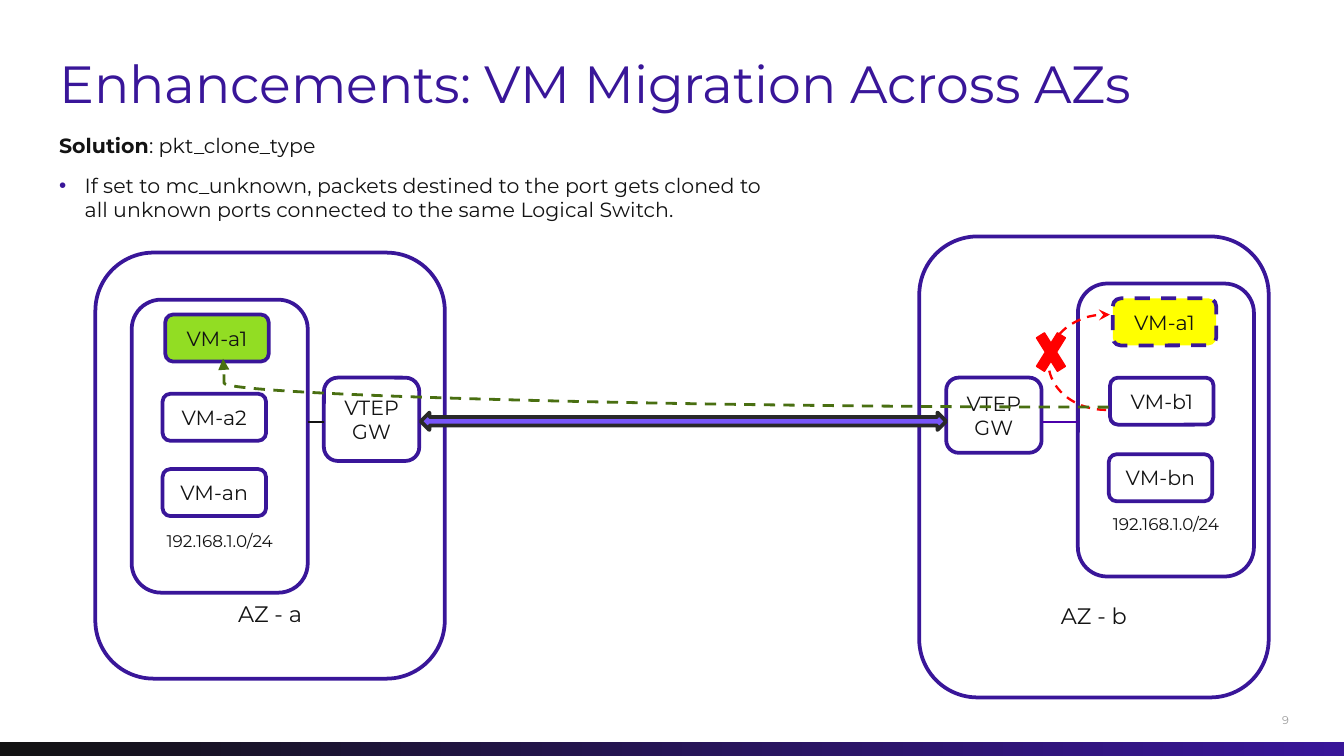
"""Build the slide on VM migration across availability zones."""
from lxml.etree import SubElement
from pptx import Presentation
from pptx.dml.color import RGBColor
from pptx.enum.dml import MSO_LINE
from pptx.enum.shapes import MSO_CONNECTOR, MSO_SHAPE
from pptx.enum.text import MSO_ANCHOR, PP_ALIGN
from pptx.oxml.ns import qn
from pptx.util import Inches, Pt

INK = RGBColor(0x13, 0x13, 0x13)
INDIGO = RGBColor(0x39, 0x16, 0x99)
VIOLET = RGBColor(0x78, 0x55, 0xFA)
PURPLE = RGBColor(0x4B, 0x00, 0xAA)
CHARCOAL = RGBColor(0x29, 0x29, 0x29)
GRAY = RGBColor(0x9C, 0x9C, 0x9C)
WHITE = RGBColor(0xFF, 0xFF, 0xFF)
LIME = RGBColor(0x92, 0xDD, 0x23)
YELLOW = RGBColor(0xFF, 0xFF, 0x00)
RED = RGBColor(0xFF, 0x00, 0x00)
GREEN = RGBColor(0x49, 0x6F, 0x11)

TITLE = "Enhancements: VM Migration Across AZs"
SOLUTION = ("Solution", ": pkt_clone_type")
DETAIL = ("If set to mc_unknown, packets destined to the port gets cloned to "
          "all unknown ports connected to the same Logical Switch.")
SUBNET = "192.168.1.0/24"
GATEWAY = "VTEP GW"
ZONES = [
    {"name": "AZ - a", "box": (0.71, 1.88, 2.6, 3.17), "label_inset": 0.26,
     "subnet": (0.98, 2.23), "gateway": (2.41, 2.81, 0.71, 0.62),
     "vms": [("VM-a1", 1.23, 2.34, LIME, None),
             ("VM-a2", 1.21, 2.93, WHITE, None),
             ("VM-an", 1.21, 3.49, WHITE, None)]},
    {"name": "AZ - b", "box": (6.84, 1.76, 2.6, 3.43), "label_inset": 0.38,
     "subnet": (8.02, 2.11), "gateway": (7.04, 2.81, 0.71, 0.56),
     "vms": [("VM-a1", 8.28, 2.22, YELLOW, MSO_LINE.DASH),
             ("VM-b1", 8.26, 2.81, WHITE, None),
             ("VM-bn", 8.25, 3.38, WHITE, None)]},
]
SUBNET_SIZE = (1.31, 2.18)
VM_SIZE = (0.77, 0.35)
LINK_Y = 3.14
LINKS = [(2.29, 2.41, INK), (7.75, 8.02, PURPLE)]


def write(paragraph, text, size=11, color=INK, bold=False):
    run = paragraph.add_run()
    run.text = text
    run.font.name = "Montserrat"
    run.font.size = Pt(size)
    run.font.bold = bold
    run.font.color.rgb = color


def set_line(line, color, width, dash=None, tip=None):
    line.color.rgb = color
    line.width = Pt(width)
    if dash:
        line.dash_style = dash
    if tip:
        SubElement(line._get_or_add_ln(), qn("a:tailEnd"), type=tip)


def add_block(slide, kind, box, fill=None, line=INDIGO, width=2, dash=None, tip=None):
    block = slide.shapes.add_shape(kind, *map(Inches, box))
    block.shadow.inherit = False
    if fill is None:
        block.fill.background()
    else:
        block.fill.solid()
        block.fill.fore_color.rgb = fill
    set_line(block.line, line, width, dash, tip)
    return block


def add_labelled(slide, text, box, size=11, fill=WHITE, dash=None, bottom_inset=None):
    block = add_block(slide, MSO_SHAPE.ROUNDED_RECTANGLE, box, fill, dash=dash)
    frame = block.text_frame
    frame.word_wrap = True
    frame.vertical_anchor = MSO_ANCHOR.MIDDLE
    if bottom_inset is not None:
        frame.vertical_anchor = MSO_ANCHOR.BOTTOM
        frame.margin_bottom = Inches(bottom_inset)
    frame.paragraphs[0].alignment = PP_ALIGN.CENTER
    write(frame.paragraphs[0], text, size)


def add_frame(slide, box, anchor=MSO_ANCHOR.TOP):
    frame = slide.shapes.add_textbox(*map(Inches, box)).text_frame
    frame.word_wrap = True
    frame.vertical_anchor = anchor
    frame.margin_left = frame.margin_right = frame.margin_top = frame.margin_bottom = 0
    return frame


def add_link(slide, kind, start, end, color, width, dash=None, tip=None):
    link = slide.shapes.add_connector(kind, *map(Inches, start + end))
    set_line(link.line, color, width, dash, tip)
    SubElement(link._element.spPr, qn("a:effectLst"))
    return link


def add_footer(slide):
    bar = add_block(slide, MSO_SHAPE.RECTANGLE, (0, 5.52, 10, 0.1))
    bar.line.fill.background()
    bar.height = Inches(10) * 9 // 16 - bar.top
    bar.fill.gradient()
    bar.fill.gradient_angle = 0
    for stop, color in zip(bar.fill.gradient_stops, (INK, INDIGO)):
        stop.color.rgb = color
    number = add_frame(slide, (9.54, 5.19, 0.46, 0.33), MSO_ANCHOR.MIDDLE)
    write(number.paragraphs[0], "9", 6, GRAY)


def add_heading(slide):
    title = add_frame(slide, (0.44, 0.38, 8.01, 0.49))
    write(title.paragraphs[0], TITLE, 28, INDIGO)
    body = add_frame(slide, (0.44, 0.99, 5.33, 0.81))
    lead, rest = SOLUTION
    write(body.paragraphs[0], lead, bold=True)
    write(body.paragraphs[0], rest)
    detail = body.add_paragraph()
    detail.space_before = Pt(8)
    props = detail._p.get_or_add_pPr()
    props.set("marL", str(Inches(0.19)))
    props.set("indent", str(-Inches(0.19)))
    SubElement(SubElement(props, qn("a:buClr")), qn("a:srgbClr"), val=str(INDIGO))
    SubElement(props, qn("a:buFont"), typeface="Arial")
    SubElement(props, qn("a:buChar"), char="•")
    write(detail, DETAIL)


def add_zone(slide, zone):
    add_labelled(slide, zone["name"], zone["box"], 12, bottom_inset=zone["label_inset"])
    add_labelled(slide, SUBNET, zone["subnet"] + SUBNET_SIZE, 9, bottom_inset=0.25)
    for name, left, top, fill, dash in zone["vms"]:
        add_labelled(slide, name, (left, top) + VM_SIZE, fill=fill, dash=dash)
    add_labelled(slide, GATEWAY, zone["gateway"])


def add_traffic(slide):
    add_block(slide, MSO_SHAPE.LEFT_RIGHT_ARROW, (3.13, 3.07, 3.91, 0.13), VIOLET, CHARCOAL)
    blocked = add_block(slide, MSO_SHAPE.ARC, (7.8, 2.34, 0.86, 0.71), line=RED,
                        width=1.25, dash=MSO_LINE.DASH, tip="stealth")
    blocked.rotation = 180
    blocked.adjustments[0] = 162
    blocked.adjustments[1] = 56.71
    add_block(slide, MSO_SHAPE.MATH_MULTIPLY, (7.67, 2.38, 0.3, 0.48), RED, RED, 0)
    cloned = add_link(slide, MSO_CONNECTOR.CURVE, (8.25, 3.03), (1.66, 2.67), GREEN, 1.5,
                      MSO_LINE.DASH, "triangle")
    guides = cloned._element.spPr.find(qn("a:prstGeom")).get_or_add_avLst()
    SubElement(guides, qn("a:gd"), name="adj1", fmla="val 99900")
    for start, end, color in LINKS:
        add_link(slide, MSO_CONNECTOR.STRAIGHT, (start, LINK_Y), (end, LINK_Y), color, 0.75)


def main():
    deck = Presentation()
    deck.slide_width = Inches(10)
    deck.slide_height = Inches(10) * 9 // 16
    slide = deck.slides.add_slide(deck.slide_layouts[6])
    add_footer(slide)
    add_heading(slide)
    for zone in ZONES:
        add_zone(slide, zone)
    add_traffic(slide)
    deck.save("out.pptx")


if __name__ == "__main__":
    main()
